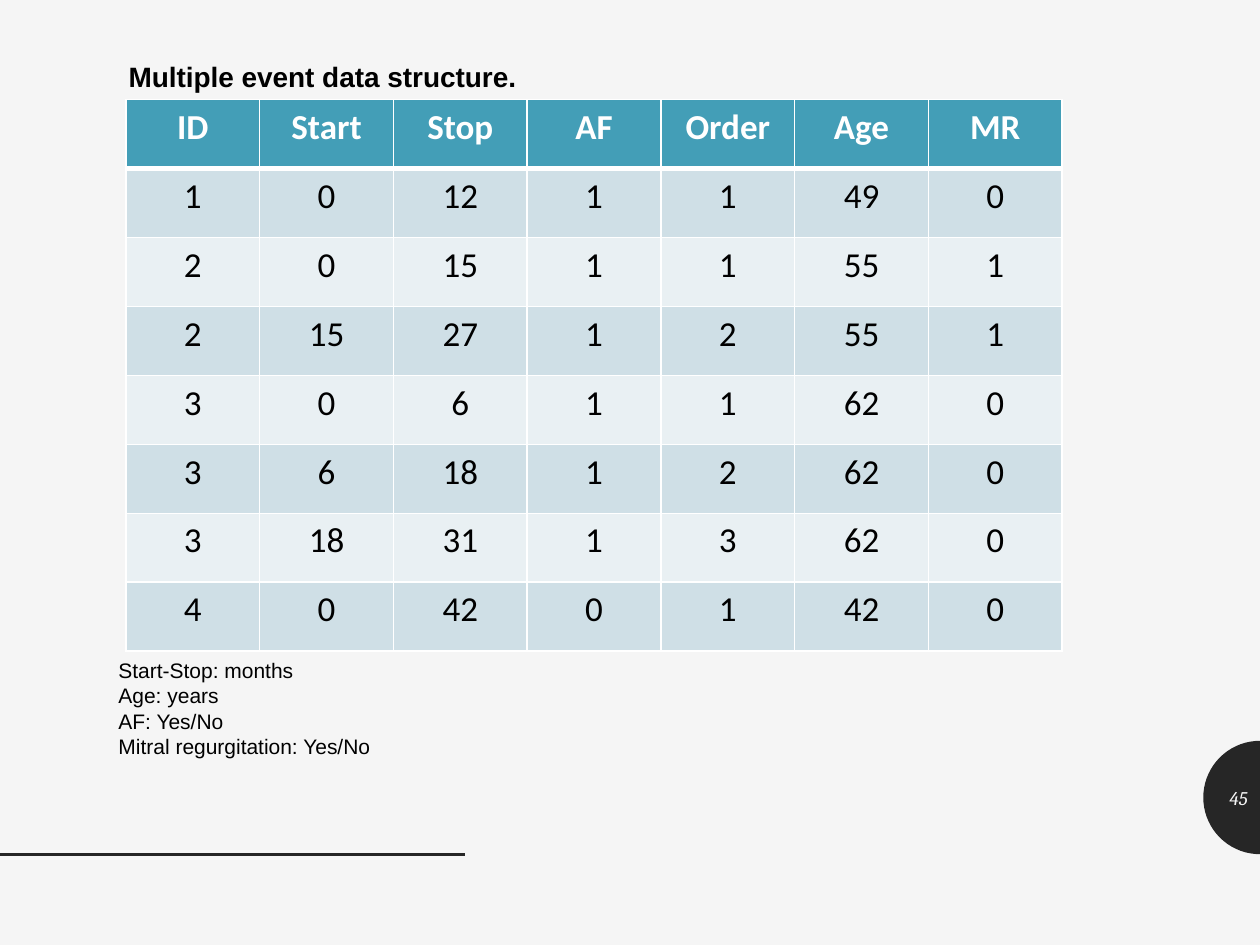
"""Build the slide on the data structure for multiple events."""
import dataclasses
import math

import lxml.etree
import pptx
import pptx.dml.color
import pptx.enum.shapes
import pptx.enum.text
import pptx.oxml.ns
import pptx.util

Align = pptx.enum.text.PP_ALIGN
Anchor = pptx.enum.text.MSO_ANCHOR
GRID_COLUMNS = 100
SLIDE_WIDTH = pptx.util.Inches(10)
SLIDE_HEIGHT = pptx.util.Inches(7.5)

HEADERS = ("ID", "Start", "Stop", "AF", "Order", "Age", "MR")
RECORDS = (
    (1, 0, 12, 1, 1, 49, 0),
    (2, 0, 15, 1, 1, 55, 1),
    (2, 15, 27, 1, 2, 55, 1),
    (3, 0, 6, 1, 1, 62, 0),
    (3, 6, 18, 1, 2, 62, 0),
    (3, 18, 31, 1, 3, 62, 0),
    (4, 0, 42, 0, 1, 42, 0),
)
NOTES = ("Start-Stop: months", "Age: years", "AF: Yes/No", "Mitral regurgitation: Yes/No")


@dataclasses.dataclass(frozen=True)
class TextStyle:
    """Font settings of a run."""
    font: str
    size: int
    color: str
    bold: bool = False
    italic: bool = False


@dataclasses.dataclass(frozen=True)
class Theme:
    """Colours and type styles of the slide."""
    background: str = "F5F5F5"
    dark: str = "262626"
    border: str = "FFFFFF"
    header_fill: str = "439EB7"
    bands: tuple = ("CFDFE6", "E9F0F3")
    title: TextStyle = TextStyle("Arial", 16, "000000", bold=True)
    notes: TextStyle = TextStyle("Arial", 12, "000000")
    header: TextStyle = TextStyle("Calibri", 20, "FFFFFF", bold=True)
    value: TextStyle = TextStyle("Calibri", 20, "000000")
    number: TextStyle = TextStyle("Cambria", 11, "F5F5F5", italic=True)


THEME = Theme()


def grid(steps):
    """Convert grid steps to a slide length."""
    return round(SLIDE_WIDTH * steps / GRID_COLUMNS)


def rgb(color):
    """Return the colour for a hexadecimal string."""
    return pptx.dml.color.RGBColor.from_string(color)


def place(shape, left, top, width, height):
    """Move and size a shape on the grid."""
    shape.left, shape.top = grid(left), grid(top)
    shape.width, shape.height = grid(width), grid(height)


def write_lines(frame, lines, style, alignment, anchor=Anchor.TOP):
    """Write each line as one styled paragraph."""
    frame.word_wrap = True
    frame.auto_size = pptx.enum.text.MSO_AUTO_SIZE.NONE
    frame.vertical_anchor = anchor
    for index, line in enumerate(lines):
        paragraph = frame.add_paragraph() if index else frame.paragraphs[0]
        write_run(paragraph, line, style, alignment)


def write_run(paragraph, text, style, alignment):
    """Add one styled run to a paragraph."""
    paragraph.alignment = alignment
    paragraph.space_before = pptx.util.Pt(0)
    run = paragraph.add_run()
    run.text = text
    font = run.font
    font.name, font.size = style.font, pptx.util.Pt(style.size)
    font.bold, font.italic = style.bold, style.italic
    font.color.rgb = rgb(style.color)


def remove_bullets(frame):
    """Turn off bullets and hanging indents."""
    for paragraph in frame.paragraphs:
        properties = paragraph._p.get_or_add_pPr()
        properties.set("marL", "0")
        properties.set("indent", "0")
        lxml.etree.SubElement(properties, pptx.oxml.ns.qn("a:buNone"))


def add_border(cell, side, points):
    """Draw one solid border of a table cell."""
    properties = cell._tc.get_or_add_tcPr()
    line = lxml.etree.SubElement(
        properties, pptx.oxml.ns.qn(f"a:ln{side}"), w=str(pptx.util.Pt(points)))
    fill = lxml.etree.SubElement(line, pptx.oxml.ns.qn("a:solidFill"))
    lxml.etree.SubElement(fill, pptx.oxml.ns.qn("a:srgbClr"), val=THEME.border)


def format_cell(cell, text, row_index):
    """Fill, border and label a cell according to its row."""
    is_header = row_index == 0
    widths = {"L": 1, "R": 1, "T": 3 if row_index == 1 else 1, "B": 3 if is_header else 1}
    for side, points in widths.items():
        add_border(cell, side, points)
    cell.fill.solid()
    cell.fill.fore_color.rgb = rgb(
        THEME.header_fill if is_header else THEME.bands[(row_index - 1) % 2])
    style = THEME.header if is_header else THEME.value
    write_run(cell.text_frame.paragraphs[0], text, style, Align.CENTER)


def add_event_table(slide, left, top, width, height):
    """Add the table of events with equal rows and columns."""
    rows = (HEADERS, *RECORDS)
    frame = slide.shapes.add_table(
        len(rows), len(HEADERS), grid(left), grid(top), grid(width), grid(height))
    for column in frame.table.columns:
        column.width = grid(width / len(HEADERS))
    for row_index, values in enumerate(rows):
        frame.table.rows[row_index].height = grid(height / len(rows))
        for column_index, value in enumerate(values):
            format_cell(frame.table.cell(row_index, column_index), str(value), row_index)


def add_half_disc(slide, center_x, center_y, radius):
    """Add a dark half disc that opens to the right."""
    angles = [math.radians(degree) for degree in range(90, 271, 5)]
    points = [
        (grid(center_x + radius * math.cos(angle)), grid(center_y - radius * math.sin(angle)))
        for angle in angles
    ]
    builder = slide.shapes.build_freeform(*points[0])
    builder.add_line_segments(points[1:], close=True)
    shape = builder.convert_to_shape()
    shape.shadow.inherit = False
    shape.fill.solid()
    shape.fill.fore_color.rgb = rgb(THEME.dark)
    shape.line.fill.background()


def add_rule(slide, left, right, top):
    """Add a horizontal dark rule."""
    rule = slide.shapes.add_connector(
        pptx.enum.shapes.MSO_CONNECTOR.STRAIGHT, grid(left), grid(top), grid(right), grid(top))
    rule.line.color.rgb = rgb(THEME.dark)
    rule.line.width = pptx.util.Pt(2)
    lxml.etree.SubElement(rule._element.spPr, pptx.oxml.ns.qn("a:effectLst"))


def add_page_number(slide, text, left, top, width, height):
    """Add the page number over the half disc."""
    box = slide.shapes.add_textbox(grid(left), grid(top), grid(width), grid(height))
    write_lines(box.text_frame, [text], THEME.number, Align.RIGHT, Anchor.MIDDLE)


def main():
    """Build and save the presentation."""
    presentation = pptx.Presentation()
    presentation.slide_width, presentation.slide_height = SLIDE_WIDTH, SLIDE_HEIGHT
    slide = presentation.slides.add_slide(presentation.slide_layouts[1])
    slide.background.fill.solid()
    slide.background.fill.fore_color.rgb = rgb(THEME.background)

    add_half_disc(slide, 100, 63.3, 4.5)
    add_rule(slide, 0, 36.9, 67.8)
    add_event_table(slide, 10, 7.9, 74.3, 43.8)

    title = slide.shapes.title
    place(title, 9.2, 4.2, 35.1, 3.7)
    write_lines(title.text_frame, ["Multiple event data structure."], THEME.title, Align.LEFT)

    notes = slide.placeholders[1]
    place(notes, 8.4, 51.7, 68.8, 9.1)
    write_lines(notes.text_frame, NOTES, THEME.notes, Align.LEFT)
    remove_bullets(notes.text_frame)

    add_page_number(slide, "45", 95.5, 61.3, 4.5, 4)
    presentation.save("out.pptx")


if __name__ == "__main__":
    main()
